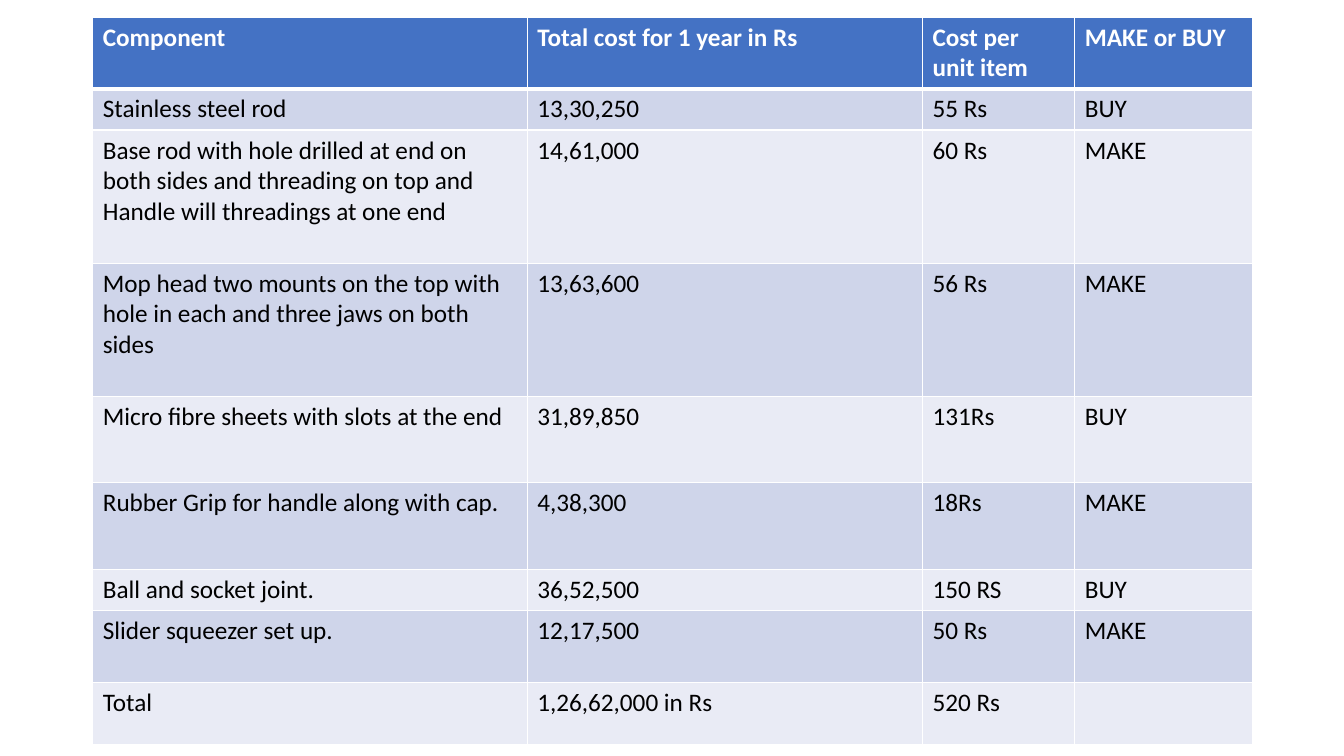
from dataclasses import dataclass

from lxml import etree
from pptx import Presentation
from pptx.dml.color import RGBColor
from pptx.oxml.ns import qn
from pptx.util import Inches, Pt


@dataclass(frozen=True)
class Theme:
    font: str = "Calibri"
    size: int = 18
    header_fill: str = "4472C4"
    header_text: str = "FFFFFF"
    body_text: str = "000000"
    odd_fill: str = "CFD5EA"
    even_fill: str = "E9EBF5"
    border: str = "FFFFFF"
    thin: int = 1
    thick: int = 3


THEME = Theme()
BLANK_LAYOUT = 6

COLUMN_WIDTHS = [4.31, 3.92, 1.51, 1.76]
COST_ROWS = [
    (0.7, ["Component", "Total cost for 1 year in Rs", "Cost per unit item", "MAKE or BUY"]),
    (0.41, ["Stainless steel rod", "13,30,250", "55 Rs", "BUY"]),
    (1.32, ["Base rod with hole drilled at end on both sides and threading on top "
            "and Handle will threadings at one end", "14,61,000", "60 Rs", "MAKE"]),
    (1.32, ["Mop head two mounts on the top with hole in each and three jaws on both sides",
            "13,63,600", "56 Rs", "MAKE"]),
    (0.86, ["Micro fibre sheets with slots at the end", "31,89,850", "131Rs", "BUY"]),
    (0.86, ["Rubber Grip for handle along with cap.", "4,38,300", "18Rs", "MAKE"]),
    (0.41, ["Ball and socket joint.", "36,52,500", "150 RS", "BUY"]),
    (0.71, ["Slider squeezer set up.", "12,17,500", "50 Rs", "MAKE"]),
    (0.62, ["Total", "1,26,62,000 in Rs", "520 Rs", ""]),
]


def add_border(cell, side, points):
    """Draw one cell edge; side is L, R, T or B, called in that order."""
    properties = cell._tc.get_or_add_tcPr()
    line = etree.SubElement(properties, qn(f"a:ln{side}"), w=str(Pt(points)))
    fill = etree.SubElement(line, qn("a:solidFill"))
    etree.SubElement(fill, qn("a:srgbClr"), val=THEME.border)


presentation = Presentation()
presentation.slide_width = Inches(13.33)
presentation.slide_height = Inches(7.5)
slide = presentation.slides.add_slide(presentation.slide_layouts[BLANK_LAYOUT])

total_height = sum(height for height, _ in COST_ROWS)
costs = slide.shapes.add_table(
    len(COST_ROWS), len(COLUMN_WIDTHS),
    Inches(0.92), Inches(0.17), Inches(sum(COLUMN_WIDTHS)), Inches(total_height),
).table

for column, width in zip(costs.columns, COLUMN_WIDTHS):
    column.width = Inches(width)

for row_number, (height, texts) in enumerate(COST_ROWS):
    costs.rows[row_number].height = Inches(height)
    is_header = row_number == 0
    if is_header:
        row_fill = THEME.header_fill
    else:
        row_fill = THEME.odd_fill if row_number % 2 else THEME.even_fill
    text_color = THEME.header_text if is_header else THEME.body_text
    top = THEME.thick if row_number == 1 else THEME.thin
    bottom = THEME.thick if is_header else THEME.thin

    for cell, text in zip(costs.rows[row_number].cells, texts):
        for side, points in zip("LRTB", (THEME.thin, THEME.thin, top, bottom)):
            add_border(cell, side, points)
        cell.fill.solid()
        cell.fill.fore_color.rgb = RGBColor.from_string(row_fill)
        cell.text = text
        font = cell.text_frame.paragraphs[0].font
        font.name = THEME.font
        font.size = Pt(THEME.size)
        font.bold = is_header
        font.color.rgb = RGBColor.from_string(text_color)

presentation.save("out.pptx")
